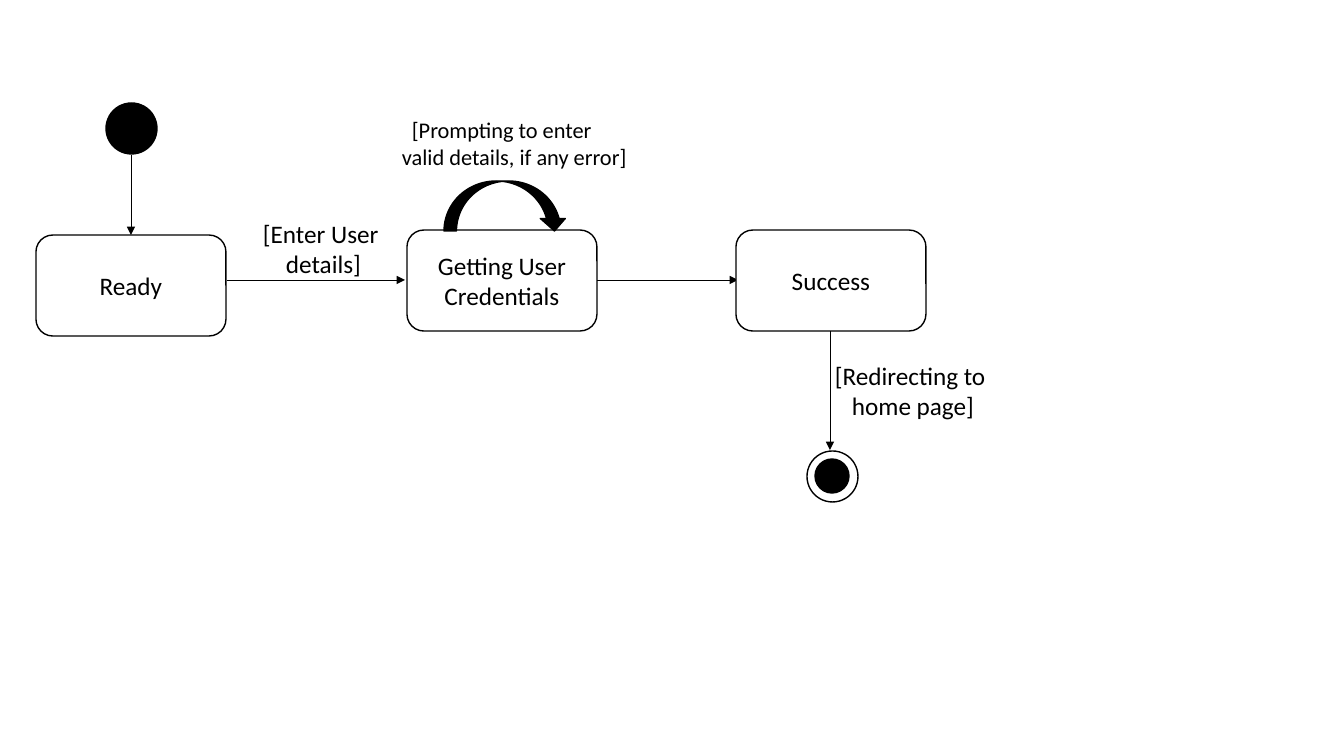
from dataclasses import dataclass

from lxml import etree
from pptx import Presentation
from pptx.dml.color import RGBColor
from pptx.enum.shapes import MSO_CONNECTOR, MSO_SHAPE
from pptx.enum.text import MSO_ANCHOR, PP_ALIGN
from pptx.oxml.ns import qn
from pptx.util import Emu, Pt

SCALE = 914400 / 100.8  # EMU per pixel
COLORS = {"ink": "000000", "paper": "FFFFFF"}
FONT = "Calibri"
ROUNDED = MSO_SHAPE.ROUNDED_RECTANGLE
CIRCLE = MSO_SHAPE.FLOWCHART_CONNECTOR
LOOP_ARROW = MSO_SHAPE.CURVED_DOWN_ARROW
STRAIGHT = MSO_CONNECTOR.STRAIGHT
CENTER = PP_ALIGN.CENTER
MIDDLE = MSO_ANCHOR.MIDDLE
STATE_WIDTH, STATE_HEIGHT = 190, 101


@dataclass(frozen=True)
class State:
    """A rounded state box with one paragraph per line."""
    left: int
    top: int
    lines: tuple[str, ...]


@dataclass(frozen=True)
class Marker:
    """A preset shape without text."""
    kind: int
    left: int
    top: int
    width: int
    height: int
    fill: str


@dataclass(frozen=True)
class Transition:
    """A straight arrow from start to end."""
    start: tuple[int, int]
    end: tuple[int, int]


@dataclass(frozen=True)
class Label:
    """A text box whose lines are (indent, text) pairs."""
    left: int
    top: int
    width: int
    height: int
    size: int
    lines: tuple[tuple[int, str], ...]


STATES = (
    State(36, 235, ("Ready",)),
    State(407, 230, ("Getting User", "Credentials")),
    State(736, 230, ("Success",)),
)
MARKERS = (
    Marker(CIRCLE, 106, 103, 51, 51, "ink"),
    Marker(CIRCLE, 807, 451, 51, 51, "paper"),
    Marker(CIRCLE, 815, 459, 34, 34, "ink"),
    Marker(LOOP_ARROW, 444, 181, 123, 50, "ink"),
)
TRANSITIONS = (
    Transition((227, 280), (405, 280)),
    Transition((597, 280), (738, 280)),
    Transition((131, 155), (131, 235)),
    Transition((830, 331), (830, 450)),
)
LABELS = (
    Label(253, 213, 248, 72, 18, ((0, "[Enter User"), (23, "details]"))),
    Label(825, 355, 248, 72, 18, ((0, "[Redirecting to"), (17, "home page]"))),
    Label(367, 111, 279, 65, 16,
          ((35, "[Prompting to enter"), (25, "valid details, if any error]"))),
)


def px(value: int) -> Emu:
    """Turn pixels into EMU."""
    return Emu(round(value * SCALE))


def color(name: str) -> RGBColor:
    """Look up a named colour."""
    return RGBColor.from_string(COLORS[name])


def set_font(paragraph, size: int) -> None:
    """Give a paragraph the slide's font and ink colour."""
    paragraph.font.name = FONT
    paragraph.font.size = Pt(size)
    paragraph.font.color.rgb = color("ink")


def draw_marker(slide, marker: Marker):
    """Draw a filled and outlined preset shape."""
    shape = slide.shapes.add_shape(marker.kind, px(marker.left), px(marker.top),
                                   px(marker.width), px(marker.height))
    shape.shadow.inherit = False
    shape.fill.solid()
    shape.fill.fore_color.rgb = color(marker.fill)
    shape.line.color.rgb = color("ink")
    shape.line.width = Pt(1)
    return shape


def draw_state(slide, state: State) -> None:
    """Draw a state box with centred text."""
    shape = draw_marker(slide, Marker(ROUNDED, state.left, state.top,
                                      STATE_WIDTH, STATE_HEIGHT, "paper"))
    frame = shape.text_frame
    frame.text = "\n".join(state.lines)
    frame.vertical_anchor = MIDDLE
    for paragraph in frame.paragraphs:
        paragraph.alignment = CENTER
        set_font(paragraph, 18)


def draw_transition(slide, transition: Transition) -> None:
    """Draw a thin line with a triangle at its end."""
    connector = slide.shapes.add_connector(
        STRAIGHT, *map(px, transition.start + transition.end))
    connector.line.color.rgb = color("ink")
    connector.line.width = Pt(0.5)
    etree.SubElement(connector.line._get_or_add_ln(), qn("a:tailEnd"), type="triangle")
    etree.SubElement(connector._element.spPr, qn("a:effectLst"))


def draw_label(slide, label: Label) -> None:
    """Draw a text box with each line indented by its own amount."""
    frame = slide.shapes.add_textbox(px(label.left), px(label.top),
                                     px(label.width), px(label.height)).text_frame
    frame.word_wrap = True
    frame.text = "\n".join(text for _, text in label.lines)
    for paragraph, (indent, _) in zip(frame.paragraphs, label.lines):
        set_font(paragraph, label.size)
        paragraph._p.get_or_add_pPr().set("marL", str(px(indent)))


def main() -> None:
    """Build and save the state diagram."""
    presentation = Presentation()
    presentation.slide_width = px(1344)
    presentation.slide_height = px(756)
    slide = presentation.slides.add_slide(presentation.slide_layouts[6])
    for transition in TRANSITIONS:
        draw_transition(slide, transition)
    for state in STATES:
        draw_state(slide, state)
    for marker in MARKERS:
        draw_marker(slide, marker)
    for label in LABELS:
        draw_label(slide, label)
    presentation.save("out.pptx")


main()
